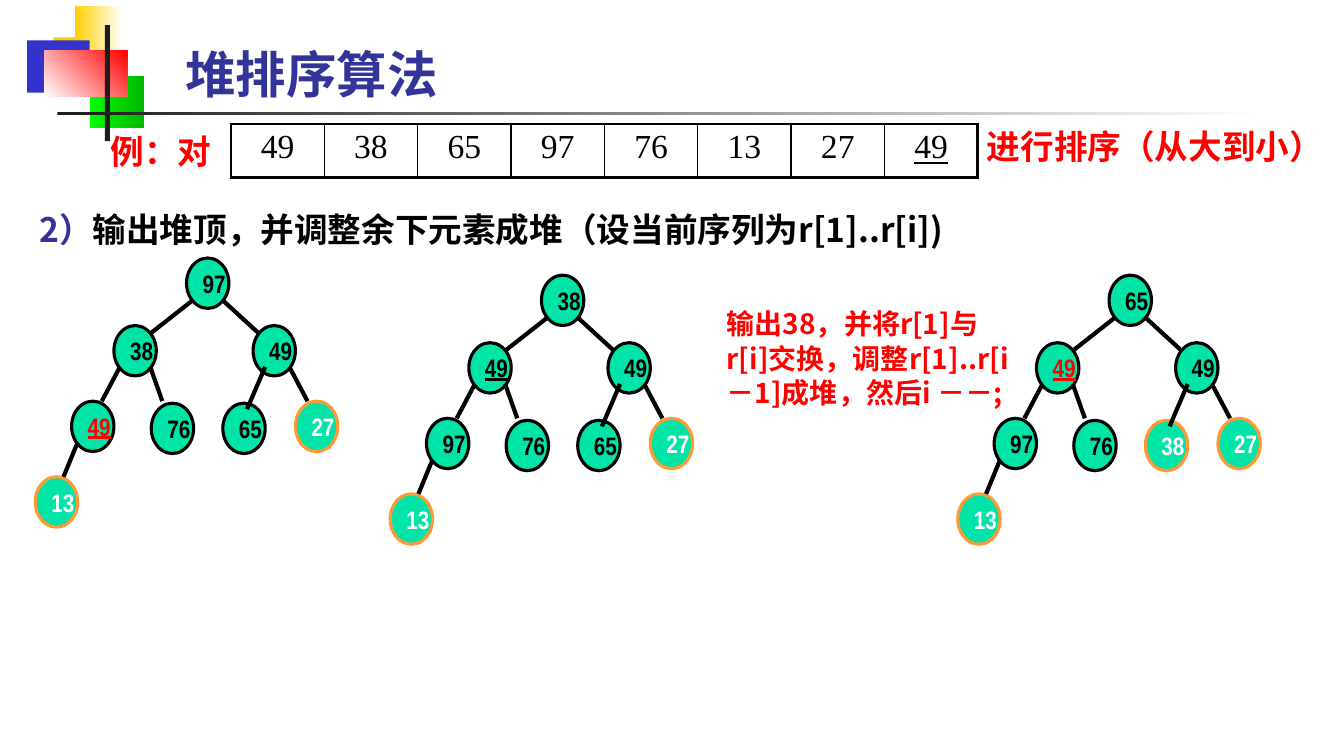
import pptx
import pptx.util
import pptx.dml.color
import pptx.enum.shapes
import pptx.enum.text
import pptx.oxml.ns
from lxml import etree

Inches = pptx.util.Inches
Pt = pptx.util.Pt
SHAPES = pptx.enum.shapes.MSO_SHAPE
ANCHORS = pptx.enum.text.MSO_ANCHOR
ALIGN = pptx.enum.text.PP_ALIGN
qn = pptx.oxml.ns.qn

COLORS = {
    "white": "FFFFFF", "black": "000000", "ink": "1C1C1C", "gold": "FFCF01",
    "blue": "3333CC", "lime": "00FF00", "green": "00B600", "red": "FF0000",
    "title": "333399", "node": "00E4A8", "sorted": "FF9933",
}
NARROW, CJK, SERIF = "Arial Narrow", "Noto Sans CJK SC", "Times New Roman"
LINE_HEIGHT = 1.22

# Node places and edges inside a heap tree, in level order
NODE_SIZE = (0.42, 0.5)
NODE_PLACES = [(1.5, 0), (0.78, 0.67), (2.16, 0.67), (0.36, 1.42),
               (1.15, 1.44), (1.86, 1.44), (2.58, 1.42), (0, 2.17)]
EDGES = [(1.56, 0.42, 1.14, 0.75), (1.86, 0.42, 2.22, 0.75),
         (0.84, 1.08, 0.66, 1.42), (1.14, 1.08, 1.26, 1.42),
         (2.28, 1.08, 2.1, 1.5), (2.52, 1.08, 2.7, 1.42),
         (0.42, 1.83, 0.28, 2.17)]
NODE_STYLES = {
    "heap": ("black", "black", False),
    "equal": ("black", "black", True),
    "moved": ("black", "red", True),
    "done": ("sorted", "white", False),
}


def rgb(name):
    return pptx.dml.color.RGBColor.from_string(COLORS[name])


def add_run(paragraph, text, size, font, color, bold=True, underline=False):
    run = paragraph.add_run()
    run.text = text
    values = {"size": Pt(size), "name": font, "bold": bold, "underline": underline}
    for name, value in values.items():
        setattr(run.font, name, value)
    run.font.color.rgb = rgb(color)
    east_asian = etree.SubElement(run.font._element, qn("a:ea"))
    east_asian.set("typeface", CJK)


def fill_text(shape, runs, size, font):
    frame = shape.text_frame
    frame.word_wrap = True
    frame.vertical_anchor = ANCHORS.TOP
    paragraph = frame.paragraphs[0]
    paragraph.alignment = ALIGN.LEFT
    paragraph.line_spacing = Pt(size * LINE_HEIGHT)
    for text, color in runs:
        add_run(paragraph, text, size, font, color)


def add_text(slide, box, runs, size, font):
    fill_text(slide.shapes.add_textbox(*map(Inches, box)), runs, size, font)


def add_title(slide, box):
    title = slide.shapes.title
    for name, value in zip(("left", "top", "width", "height"), box):
        setattr(title, name, Inches(value))
    fill_text(title, [("堆排序算法", "title")], 36, NARROW)


def add_block(slide, box, colors, angle=0):
    block = slide.shapes.add_shape(SHAPES.RECTANGLE, *map(Inches, box))
    block.shadow.inherit = False
    block.line.fill.background()
    if len(colors) == 1:
        block.fill.solid()
        block.fill.fore_color.rgb = rgb(colors[0])
        return
    block.fill.gradient()
    block.fill.gradient_angle = angle
    for position, (stop, color) in enumerate(zip(block.fill.gradient_stops, colors)):
        stop.position = position
        stop.color.rgb = rgb(color)


def add_decoration(slide, left, top):
    blocks = [
        ((0.26, 0.31, 0.64, 0.52), ["gold"]),
        ((0.47, 0, 0.48, 0.52), ["gold", "white"]),
        ((0, 0.34, 0.62, 0.52), ["blue"]),
        ((0.62, 0.69, 0.54, 0.52), ["lime", "green"]),
        ((0.17, 0.44, 0.82, 0.46), ["white", "red"], 45),
        ((0.77, 0.19, 0.05, 1.15), ["ink"]),
        ((0.3, 1.05, 12, 0.03), ["ink", "white"]),
    ]
    for (x, y, width, height), *paint in blocks:
        add_block(slide, (left + x, top + y, width, height), *paint)


def add_border(cell, side, width):
    border = etree.SubElement(cell._tc.get_or_add_tcPr(), qn("a:" + side))
    border.set("w", str(Pt(width)))
    solid = etree.SubElement(border, qn("a:solidFill"))
    etree.SubElement(solid, qn("a:srgbClr")).set("val", COLORS["black"])


def add_sequence(slide, box, values):
    count = len(values)
    table = slide.shapes.add_table(1, count, *map(Inches, box)).table
    table.first_row = table.horz_banding = False
    for index, value in enumerate(values):
        table.columns[index].width = Inches(box[2] / count)
        cell = table.cell(0, index)
        last = index == count - 1
        widths = {"lnL": 2.25 if index == 0 else 1, "lnR": 2.25 if last else 1,
                  "lnT": 2.25, "lnB": 2.25}
        for side, width in widths.items():
            add_border(cell, side, width)
        cell.fill.background()
        paragraph = cell.text_frame.paragraphs[0]
        paragraph.alignment = ALIGN.CENTER
        add_run(paragraph, str(value), 24, SERIF, "black", False, last)


def add_node(slide, left, top, value, style):
    outline, color, underline = NODE_STYLES[style]
    box = (left, top, *NODE_SIZE)
    node = slide.shapes.add_shape(SHAPES.OVAL, *map(Inches, box))
    node.shadow.inherit = False
    node.fill.solid()
    node.fill.fore_color.rgb = rgb("node")
    node.line.color.rgb = rgb(outline)
    node.line.width = Pt(2.25)
    frame = node.text_frame
    frame.word_wrap = False
    frame.vertical_anchor = ANCHORS.MIDDLE
    paragraph = frame.paragraphs[0]
    paragraph.alignment = ALIGN.LEFT
    add_run(paragraph, str(value), 18, NARROW, color, underline=underline)


def add_edge(slide, ends):
    edge = slide.shapes.add_connector(
        pptx.enum.shapes.MSO_CONNECTOR.STRAIGHT, *map(Inches, ends))
    edge.line.color.rgb = rgb("black")
    edge.line.width = Pt(3)
    etree.SubElement(edge._element.spPr, qn("a:effectLst"))


def add_heap(slide, left, top, values, styles):
    for (x, y), value, style in zip(NODE_PLACES, values, styles):
        add_node(slide, left + x, top + y, value, style)
    for x1, y1, x2, y2 in EDGES:
        add_edge(slide, (left + x1, top + y1, left + x2, top + y2))


def main():
    presentation = pptx.Presentation()
    presentation.slide_width = Inches(13.33)
    presentation.slide_height = Inches(7.5)
    slide = presentation.slides.add_slide(presentation.slide_layouts[5])

    # Heading
    add_decoration(slide, 0.27, 0.06)
    add_title(slide, (1.74, 0.37, 4.9, 0.71))

    # Example sequence
    add_sequence(slide, (2.29, 1.23, 7.41, 0.53), [49, 38, 65, 97, 76, 13, 27, 49])
    add_text(slide, (1, 1.24, 1.69, 0.5), [("例：对", "red")], 24, NARROW)
    add_text(slide, (9.69, 1.19, 3.64, 0.5), [("进行排序（从大到小）", "red")], 24, NARROW)

    # Step and its explanation
    add_text(slide, (0.29, 2.02, 9.58, 0.5),
             [("2）", "title"), ("输出堆顶，并调整余下元素成堆（设当前序列为r[1]..r[i])", "black")],
             24, CJK)
    add_text(slide, (7.11, 2.99, 3.03, 1.45),
             [("输出38，并将r[1]与r[i]交换，调整r[1]..r[i－1]成堆，然后i －－;", "red")], 20, CJK)

    # Heap before, after the swap, and rebuilt
    heap, equal, moved, done = NODE_STYLES
    add_heap(slide, 0.35, 2.56, [97, 38, 49, 49, 76, 65, 27, 13],
             [heap, heap, heap, moved, heap, heap, done, done])
    add_heap(slide, 3.87, 2.73, [38, 49, 49, 97, 76, 65, 27, 13],
             [heap, equal, heap, heap, heap, heap, done, done])
    add_heap(slide, 9.5, 2.73, [65, 49, 49, 97, 76, 38, 27, 13],
             [heap, moved, heap, heap, heap, done, done, done])

    presentation.save("out.pptx")


if __name__ == "__main__":
    main()
